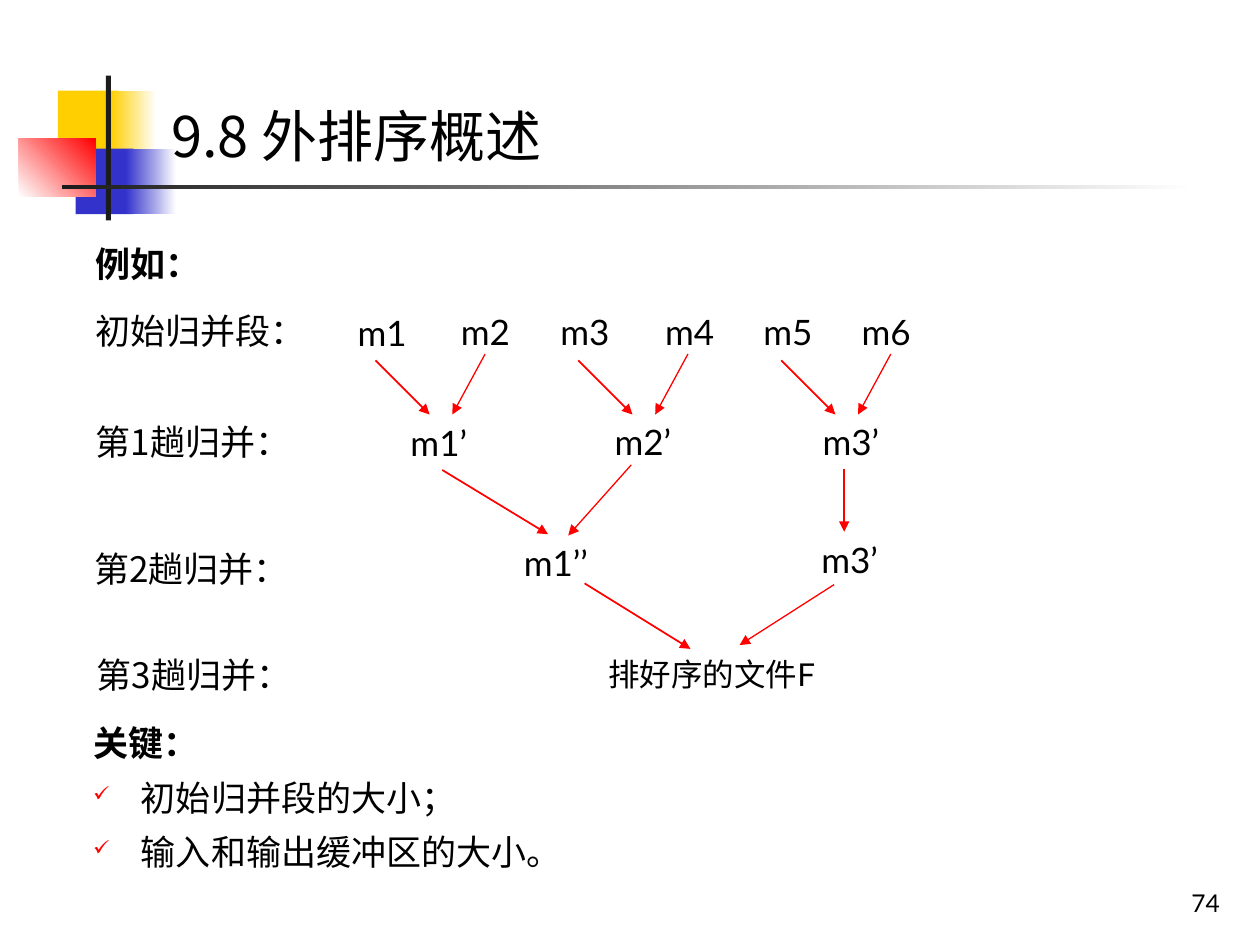
from lxml.etree import SubElement
from pptx import Presentation
from pptx.dml.color import RGBColor
from pptx.enum.shapes import MSO_CONNECTOR as Connector, MSO_SHAPE as Shape
from pptx.enum.text import MSO_ANCHOR as Anchor, PP_ALIGN as Align
from pptx.oxml.ns import qn
from pptx.util import Inches, Pt

LATIN, CHINESE, TITLE_FONT = "Lato", "Noto Sans CJK SC", "Noto Sans CJK JP"
BLACK, DARK, WHITE = "000000", "1C1C1C", "FFFFFF"
RED, YELLOW, BLUE = "FF0000", "FFCF01", "3333CC"
rgb = RGBColor.from_string

deck = Presentation()
deck.slide_width, deck.slide_height = Inches(10), Inches(7.5)
page = deck.slides.add_slide(deck.slide_layouts[6])


def add_text(lines, left, top, width, height, font=LATIN, size=20, bold_first=False,
             align=Align.JUSTIFY, spacing=1.2, before=5, hanging=0.38, anchor=Anchor.TOP):
    """Write one paragraph per line; every line after the first gets a check mark."""
    box = page.shapes.add_textbox(*map(Inches, (left, top, width, height)))
    frame = box.text_frame
    frame.word_wrap = True
    frame.vertical_anchor = anchor
    for index, text in enumerate(lines):
        para = frame.paragraphs[0] if index == 0 else frame.add_paragraph()
        para.alignment = align
        para.line_spacing = spacing
        para.space_before = Pt(before)
        props = para._p.get_or_add_pPr()
        props.set("marL", str(Inches(hanging)))
        props.set("indent", str(-Inches(hanging)))
        if index:
            colour = SubElement(props, qn("a:buClr"))
            SubElement(colour, qn("a:srgbClr"), val=RED)
            SubElement(props, qn("a:buSzPct"), val="60000")
            SubElement(props, qn("a:buChar"), char="✓")
        span = para.add_run()
        span.text = text
        span.font.name = font
        span.font.size = Pt(size)
        span.font.bold = bold_first and index == 0
        span.font.color.rgb = rgb(BLACK)
        east_asian = CHINESE if font == LATIN else font
        SubElement(span._r.get_or_add_rPr(), qn("a:ea"), typeface=east_asian)


def add_arrow(start, end, width):
    arrow = page.shapes.add_connector(Connector.STRAIGHT, *map(Inches, (*start, *end)))
    arrow.line.color.rgb = rgb(RED)
    arrow.line.width = Pt(width)
    SubElement(arrow.line._get_or_add_ln(), qn("a:tailEnd"), type="triangle")
    SubElement(arrow._element.spPr, qn("a:effectLst"))


# Decoration: one colour is a solid fill, two are a gradient
decoration = [
    (0.46, 0.72, 0.48, 0.52, [YELLOW], 0),
    (0.88, 0.72, 0.36, 0.52, [YELLOW, WHITE], 0),
    (0.6, 1.18, 0.46, 0.52, [BLUE], 0),
    (1, 1.18, 0.4, 0.52, [BLUE, WHITE], 0),
    (0.15, 1.1, 0.61, 0.46, [WHITE, RED], 45),
    (0.84, 0.6, 0.04, 1.15, [DARK], 0),
    (0.49, 1.47, 9, 0.03, [DARK, WHITE], 0),
]
for left, top, width, height, colours, angle in decoration:
    block = page.shapes.add_shape(Shape.RECTANGLE, *map(Inches, (left, top, width, height)))
    block.shadow.inherit = False
    block.line.fill.background()
    if len(colours) == 1:
        block.fill.solid()
        block.fill.fore_color.rgb = rgb(colours[0])
    else:
        block.fill.gradient()
        block.fill.gradient_angle = angle
        for stop, colour in zip(block.fill.gradient_stops, colours):
            stop.color.rgb = rgb(colour)

# Page number, title and opening line
add_text(["74"], 7.7, 6.83, 2.08, 0.5, size=14, align=Align.RIGHT,
         spacing=1, before=0, hanging=0, anchor=Anchor.BOTTOM)
add_text(["9.8 外排序概述"], 1.26, 0.76, 8.74, 0.64, font=TITLE_FONT, size=32,
         align=Align.LEFT, spacing=1, before=20, hanging=0)
add_text(["例如："], 0.66, 1.84, 9.07, 0.49, bold_first=True, spacing=1.1)

# Row labels
row_labels = [("初始归并段：", 0.66, 2.34), ("第1趟归并：", 0.66, 3.22),
              ("第2趟归并：", 0.65, 4.23), ("第3趟归并：", 0.67, 5.07)]
for label, left, top in row_labels:
    add_text([label], left, top, 2.03, 0.51, font=CHINESE)

# Merge tree
segments = [
    ("m1", 2.74, 2.36), ("m2", 3.56, 2.35), ("m3", 4.35, 2.35),
    ("m4", 5.18, 2.35), ("m5", 5.96, 2.35), ("m6", 6.74, 2.35),
    ("m1’", 3.16, 3.23), ("m2’", 4.78, 3.22), ("m3’", 6.43, 3.22),
    ("m1’’", 4.06, 4.18), ("m3’", 6.42, 4.16),
]
for name, left, top in segments:
    add_text([name], left, top, 0.8, 0.51)
add_text(["排好序的文件F"], 4.73, 5.09, 2.03, 0.51, size=18, before=4.5)

# First pass: the same pair of arrows three times
for pair in range(3):
    x = 2.98 + 1.61 * pair
    add_arrow((x, 2.86), (x + 0.43, 3.29), 1)
    add_arrow((x + 0.87, 2.81), (x + 0.61, 3.29), 0.75)

# Later passes
later_arrows = [
    ((3.51, 3.73), (4.35, 4.24), 1), ((5.01, 3.69), (4.51, 4.25), 0.75),
    ((6.7, 3.72), (6.7, 4.22), 1),
    ((4.64, 4.63), (5.48, 5.15), 1), ((6.62, 4.64), (5.87, 5.12), 0.75),
]
for start, end, width in later_arrows:
    add_arrow(start, end, width)

# Key points
add_text(["关键：", "初始归并段的大小；", "输入和输出缓冲区的大小。"],
         0.64, 5.61, 8.99, 1.45, font=CHINESE, bold_first=True, before=2.5)

deck.save("out.pptx")
